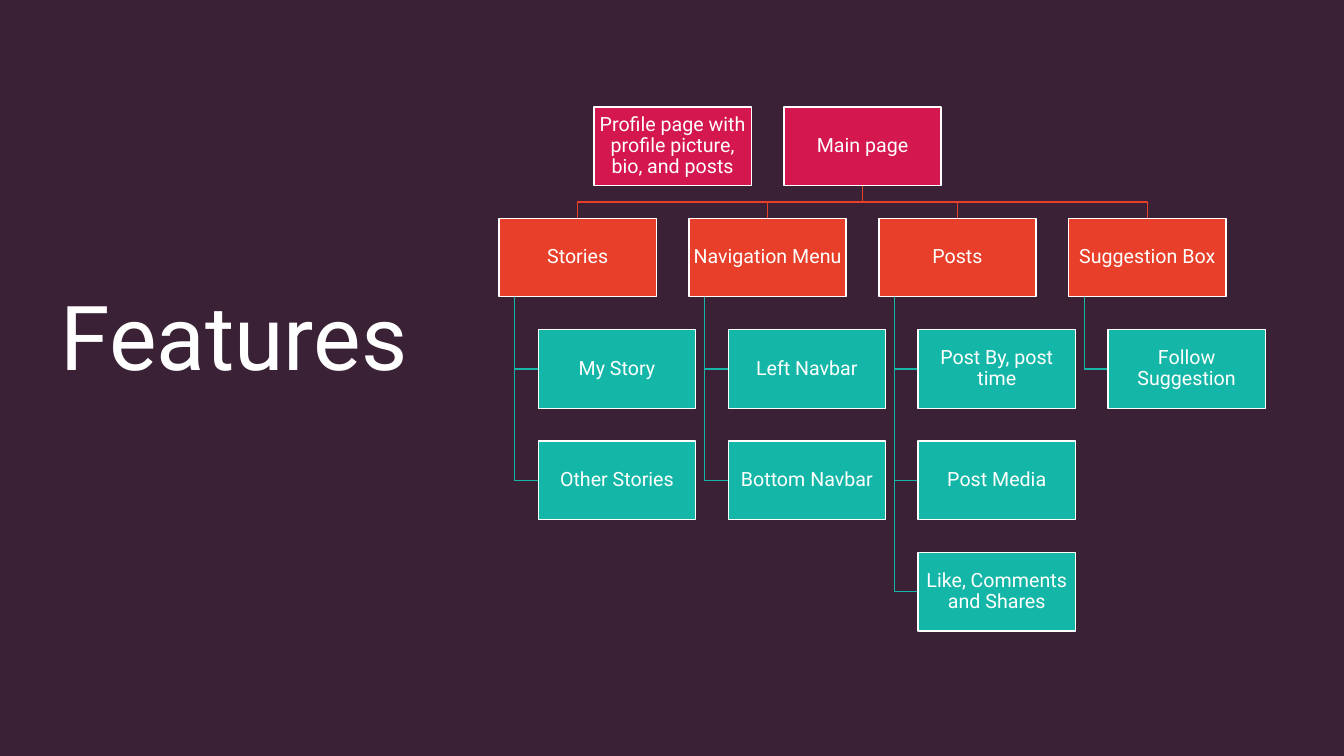
from dataclasses import dataclass

from pptx import Presentation
from pptx.dml.color import RGBColor
from pptx.enum.shapes import MSO_SHAPE
from pptx.enum.text import MSO_ANCHOR, MSO_AUTO_SIZE, PP_ALIGN
from pptx.util import Inches, Pt

FONT = "Roboto"
BACKGROUND, WHITE = "3B2136", "FFFFFF"
PAGE_COLOR, SECTION_COLOR, DETAIL_COLOR = "D51750", "E73F29", "14B7A7"

# Chart grid, in inches
BOX_WIDTH, BOX_HEIGHT = 1.56, 0.78
CHART_LEFT, CHART_TOP = 4.95, 1.06
COLUMN_PITCH = (10.6 - CHART_LEFT) / 3
ROW_PITCH = (5.48 - CHART_TOP) / 4
DETAIL_INDENT = 0.39
TRUNK_INDENT = 0.155


@dataclass(frozen=True)
class Section:
    name: str
    details: tuple[str, ...]


@dataclass(frozen=True)
class Box:
    text: str
    left: float
    top: float
    color: str

    @property
    def center_x(self) -> float:
        return self.left + BOX_WIDTH / 2

    @property
    def center_y(self) -> float:
        return self.top + BOX_HEIGHT / 2

    @property
    def bottom(self) -> float:
        return self.top + BOX_HEIGHT


SECTIONS = (
    Section("Stories", ("My Story", "Other Stories")),
    Section("Navigation Menu", ("Left Navbar", "Bottom Navbar")),
    Section("Posts", ("Post By, post time", "Post Media", "Like, Comments and Shares")),
    Section("Suggestion Box", ("Follow Suggestion",)),
)


def rgb(color: str) -> RGBColor:
    return RGBColor.from_string(color)


def style_text(frame, size: int, align: PP_ALIGN, anchor: MSO_ANCHOR, inset: float) -> None:
    frame.word_wrap = True
    frame.auto_size = MSO_AUTO_SIZE.NONE
    frame.vertical_anchor = anchor
    frame.margin_left = frame.margin_right = Inches(inset)
    frame.margin_top = frame.margin_bottom = Inches(inset)
    paragraph = frame.paragraphs[0]
    paragraph.alignment = align
    paragraph.line_spacing = 0.9
    paragraph.font.name = FONT
    paragraph.font.size = Pt(size)
    paragraph.font.color.rgb = rgb(WHITE)


def place_box(text: str, column: float, row: int, color: str, indent: float = 0) -> Box:
    left = CHART_LEFT + column * COLUMN_PITCH + indent
    return Box(text, left, CHART_TOP + row * ROW_PITCH, color)


def draw_box(slide, box: Box) -> None:
    shape = slide.shapes.add_shape(
        MSO_SHAPE.RECTANGLE,
        Inches(box.left), Inches(box.top), Inches(BOX_WIDTH), Inches(BOX_HEIGHT),
    )
    shape.shadow.inherit = False
    shape.fill.solid()
    shape.fill.fore_color.rgb = rgb(box.color)
    shape.line.color.rgb = rgb(WHITE)
    shape.line.width = Pt(1)
    shape.text_frame.text = box.text
    style_text(shape.text_frame, 14, PP_ALIGN.CENTER, MSO_ANCHOR.MIDDLE, 0.01)


def draw_branch(slide, points: list[tuple[float, float]], color: str) -> None:
    start, *rest = [(Inches(x), Inches(y)) for x, y in points]
    builder = slide.shapes.build_freeform(*start)
    builder.add_line_segments(rest, close=False)
    branch = builder.convert_to_shape()
    branch.shadow.inherit = False
    branch.fill.background()
    branch.line.color.rgb = rgb(color)
    branch.line.width = Pt(1)


def draw_title(slide) -> None:
    title = slide.shapes.title
    title.left, title.top = Inches(0.6), Inches(0.6)
    title.width, title.height = Inches(5.95), Inches(3.27)
    title.text_frame.text = "Features"
    style_text(title.text_frame, 64, PP_ALIGN.LEFT, MSO_ANCHOR.BOTTOM, 0)


def draw_feature_tree(slide) -> None:
    profile_page = place_box("Profile page with profile picture, bio, and posts", 0.5, 0, PAGE_COLOR)
    main_page = place_box("Main page", 1.5, 0, PAGE_COLOR)
    boxes = [profile_page, main_page]

    # Branches lie behind the boxes
    for column, section in enumerate(SECTIONS):
        section_box = place_box(section.name, column, 1, SECTION_COLOR)
        boxes.append(section_box)
        bus_y = (main_page.bottom + section_box.top) / 2
        draw_branch(slide, [
            (main_page.center_x, main_page.bottom),
            (main_page.center_x, bus_y),
            (section_box.center_x, bus_y),
            (section_box.center_x, section_box.top),
        ], SECTION_COLOR)

        trunk_x = section_box.left + TRUNK_INDENT
        for row, detail in enumerate(section.details, start=2):
            detail_box = place_box(detail, column, row, DETAIL_COLOR, DETAIL_INDENT)
            boxes.append(detail_box)
            draw_branch(slide, [
                (trunk_x, section_box.bottom),
                (trunk_x, detail_box.center_y),
                (detail_box.left, detail_box.center_y),
            ], DETAIL_COLOR)

    for box in boxes:
        draw_box(slide, box)


def main() -> None:
    presentation = Presentation()
    presentation.slide_width = Inches(13.33)
    presentation.slide_height = Inches(7.5)
    title_only = presentation.slide_layouts[5]
    slide = presentation.slides.add_slide(title_only)
    slide.background.fill.solid()
    slide.background.fill.fore_color.rgb = rgb(BACKGROUND)
    draw_title(slide)
    draw_feature_tree(slide)
    presentation.save("out.pptx")


if __name__ == "__main__":
    main()
